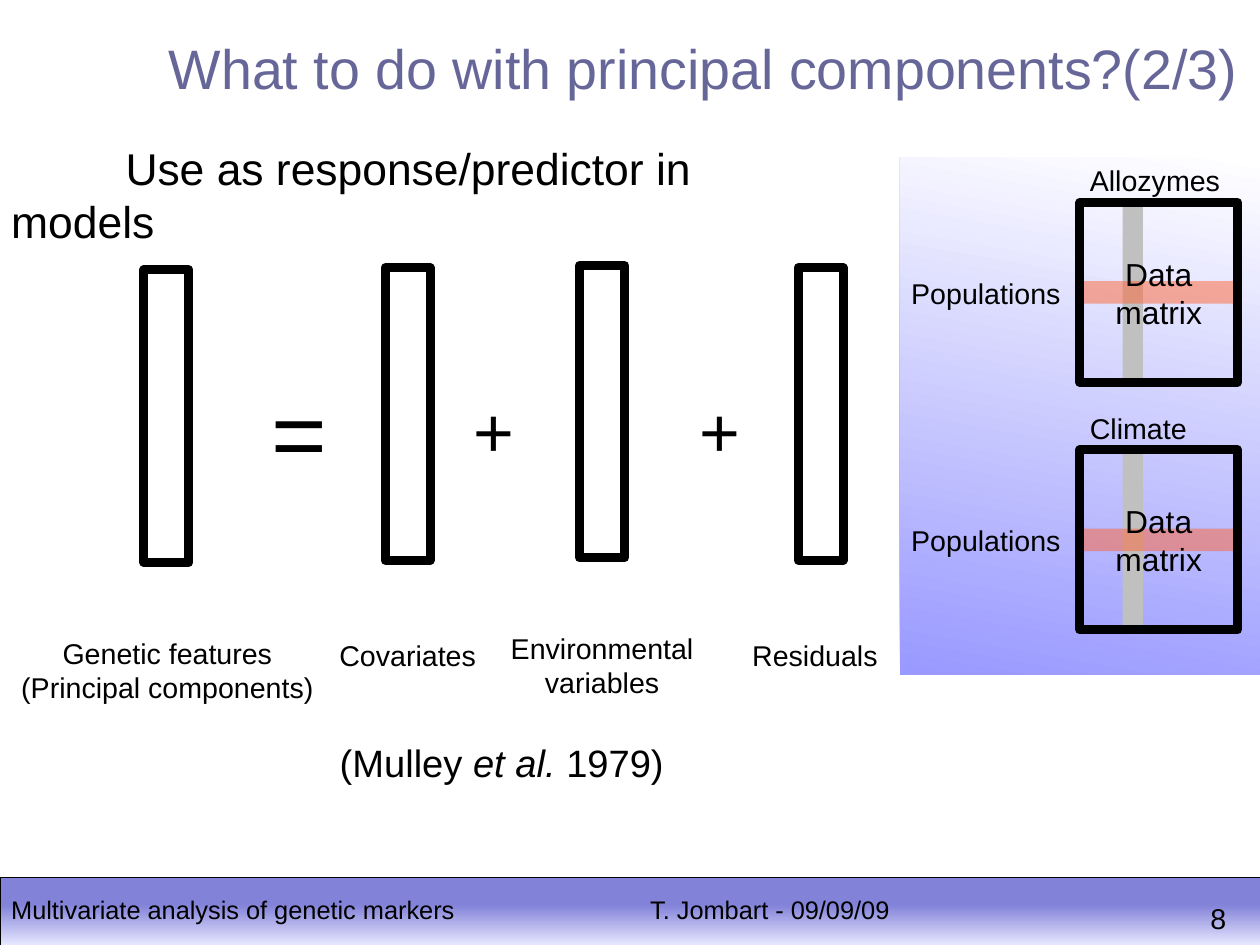
from lxml import etree
from pptx import Presentation
from pptx import util as u
from pptx.dml.color import RGBColor
from pptx.enum import shapes, text
from pptx.oxml.ns import qn

BLACK = "000000"
CENTER = text.PP_ALIGN.CENTER
LEFT = text.PP_ALIGN.LEFT

presentation = Presentation()
presentation.slide_width = u.Cm(28)
presentation.slide_height = u.Cm(21)
slide = presentation.slides.add_slide(presentation.slide_layouts[6])


def add_rectangle(left, top, width, height, fill=None, line=None, line_width=0.2):
    shape = slide.shapes.add_shape(
        shapes.MSO_SHAPE.RECTANGLE, u.Cm(left), u.Cm(top), u.Cm(width), u.Cm(height))
    shape.shadow.inherit = False
    if fill:
        shape.fill.solid()
        shape.fill.fore_color.rgb = RGBColor.from_string(fill)
    else:
        shape.fill.background()
    if line:
        shape.line.color.rgb = RGBColor.from_string(line)
        shape.line.width = u.Cm(line_width)
    else:
        shape.line.fill.background()
    return shape


def add_text(left, top, width, height, size, lines, color=BLACK, align=LEFT,
             anchor=text.MSO_ANCHOR.TOP):
    box = slide.shapes.add_textbox(u.Cm(left), u.Cm(top), u.Cm(width), u.Cm(height))
    frame = box.text_frame
    frame.word_wrap = True
    frame.vertical_anchor = anchor
    for index, runs in enumerate(lines):
        paragraph = frame.paragraphs[0] if index == 0 else frame.add_paragraph()
        paragraph.alignment = align
        for words, italic in runs:
            run = paragraph.add_run()
            run.text = words
            run.font.name = "Arial"
            run.font.size = u.Pt(size)
            run.font.italic = italic
            run.font.color.rgb = RGBColor.from_string(color)
    return box


panel = add_rectangle(20, 3.5, 8, 11.5)
footer = add_rectangle(0, 19.5, 28, 1.5, line=BLACK, line_width=0.01)
gradients = [
    (panel, 80, [(0, "9999FF"), (1, "FFFFFF")]),
    (footer, 270, [(0.4, "8282D9"), (1, "E6E6FF")]),
]
for shape, angle, stops in gradients:
    shape.fill.gradient()
    shape.fill.gradient_angle = angle
    for stop, (position, color) in zip(shape.fill.gradient_stops, stops):
        stop.position = position
        stop.color.rgb = RGBColor.from_string(color)

add_text(14.2, 19.75, 6.15, 0.97, 16, [[("T. Jombart - 09/09/09", False)]])
add_text(0, 19.75, 10.8, 0.9, 16, [[("Multivariate analysis of genetic markers", False)]])
add_text(26.65, 19.9, 0.9, 0.97, 18, [[("8", False)]])

add_text(3.5, 0.63, 24.5, 1.63, 35,
         [[("What to do with principal components?(2/3)", False)]], color="666699")
subtitle = add_text(0, 3, 17.8, 2.4, 28,
                    [[("Use as response/predictor in models", False)]])
subtitle.text_frame.paragraphs[0]._p.get_or_add_pPr().set("indent", str(u.Cm(2.54)))

for top, heading in [(4.5, "Allozymes"), (10, "Climate")]:
    add_rectangle(24.95, top, 0.45, 4, fill="C0C0C0")
    row = add_rectangle(24, top + 1.75, 3.5, 0.5, fill="FF6633")
    color_element = row._element.spPr.find(qn("a:solidFill"))[0]
    etree.SubElement(color_element, qn("a:alpha")).set("val", "50000")
    add_rectangle(24, top, 3.5, 4, line=BLACK)
    add_text(24, top, 3.5, 4, 20, [[("Data", False)], [("matrix", False)]],
             align=CENTER, anchor=text.MSO_ANCHOR.MIDDLE)
    add_text(23.97, top - 1, 3.7, 1, 18, [[(heading, False)]])
    add_text(20, top + 1.5, 4, 1, 18, [[("Populations", False)]])

terms = [
    (3.2, 6, 3.72, 14, 7.4, ["Genetic features", "(Principal components)"]),
    (8.56, 5.95, 9.06, 14.05, 3.8, ["Covariates"]),
    (12.88, 5.9, 13.38, 13.9, 4.9, ["Environmental", "variables"]),
    (17.74, 5.95, 18.11, 14.05, 3.6, ["Residuals"]),
]
for left, top, label_center, label_top, label_width, lines in terms:
    add_rectangle(left, top, 1, 6.5, line=BLACK)
    add_text(label_center - label_width / 2, label_top, label_width, 0.85 * len(lines),
             18, [[(line, False)] for line in lines], align=CENTER)

for left, top, size, sign in [(5.79, 8.18, 60, "="), (10.28, 8.5, 44, "+"), (15.29, 8.5, 44, "+")]:
    add_text(left, top, 2, 2, size, [[(sign, False)]])

add_text(7.3, 16.3, 8, 1.2, 24,
         [[("(Mulley ", False), ("et al.", True), (" 1979)", False)]])

presentation.save("out.pptx")
